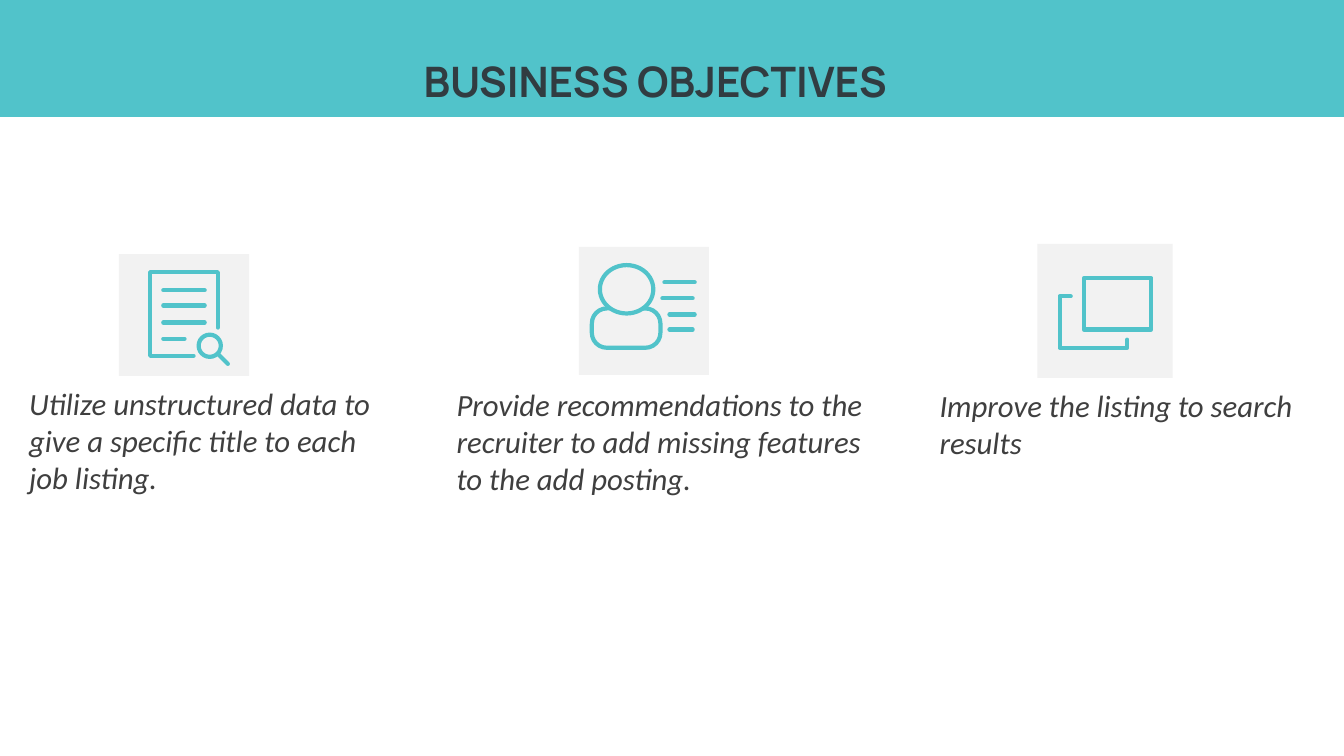
"""Build the Business Objectives slide with three icons and their captions."""
from lxml.etree import SubElement
from pptx import Presentation
from pptx.dml.color import RGBColor
from pptx.enum.shapes import MSO_CONNECTOR, MSO_SHAPE
from pptx.enum.text import MSO_ANCHOR, MSO_AUTO_SIZE, PP_ALIGN
from pptx.oxml.ns import qn
from pptx.util import Inches, Pt

TEAL = RGBColor(0x51, 0xC3, 0xCA)
TILE_GREY = RGBColor(0xF2, 0xF2, 0xF2)
TITLE_GREY = RGBColor(0x31, 0x3C, 0x41)
CAPTION_GREY = RGBColor(0x3F, 0x3F, 0x3F)


def add_box(shapes, kind, position, fill=None, stroked=False):
    left, top, width, height = map(Inches, position)
    shape = shapes.add_shape(kind, left, top, width, height)
    shape.shadow.inherit = False
    if fill is None:
        shape.fill.background()
    else:
        shape.fill.solid()
        shape.fill.fore_color.rgb = fill
    if stroked:
        shape.line.color.rgb = TEAL
        shape.line.width = Pt(3)
    else:
        shape.line.fill.background()
    return shape


def finish_stroke(shape):
    shape.line.color.rgb = TEAL
    shape.line.width = Pt(3)
    line = shape.line._get_or_add_ln()
    line.set("cap", "rnd")
    SubElement(line, qn("a:round"))
    SubElement(line.getparent(), qn("a:effectLst"))


presentation = Presentation()
presentation.slide_width = Inches(13.33)
presentation.slide_height = Inches(7.5)
slide = presentation.slides.add_slide(presentation.slide_layouts[5])

band = add_box(slide.shapes, MSO_SHAPE.RECTANGLE, (0, 0, 13.33, 1.16), TEAL)
title = slide.shapes.title
title.left, title.top = Inches(0.75), Inches(0.61)
title.width, title.height = Inches(11.5), Inches(0.37)
band.element.addnext(title.element)
title_frame = title.text_frame
title_frame.text = "BUSINESS OBJECTIVES"
title_frame.auto_size = MSO_AUTO_SIZE.NONE
title_frame.vertical_anchor = MSO_ANCHOR.TOP
title_frame.margin_left = title_frame.margin_right = 0
title_frame.margin_top = title_frame.margin_bottom = 0
title_paragraph = title_frame.paragraphs[0]
title_paragraph.alignment = PP_ALIGN.CENTER
title_paragraph.line_spacing = 0.9
title_paragraph.space_before = Pt(10)
title_font = title_paragraph.runs[0].font
title_font.name, title_font.size, title_font.bold = "Manrope", Pt(30), True
title_font.color.rgb = TITLE_GREY

for tile in [(1.18, 2.52, 1.29, 1.21), (5.74, 2.45, 1.29, 1.27), (10.29, 2.42, 1.34, 1.33)]:
    add_box(slide.shapes, MSO_SHAPE.RECTANGLE, tile, TILE_GREY)

document, person, screens = [slide.shapes.add_group_shape().shapes for _ in range(3)]

add_box(document, MSO_SHAPE.OVAL, (1.97, 3.32, 0.22, 0.22), stroked=True)
body = add_box(person, MSO_SHAPE.ROUNDED_RECTANGLE, (5.87, 3.06, 0.68, 0.39), stroked=True)
body.adjustments[0] = 0.38
add_box(person, MSO_SHAPE.OVAL, (5.95, 2.63, 0.53, 0.48), TILE_GREY, stroked=True)
add_box(screens, MSO_SHAPE.RECTANGLE, (10.75, 2.76, 0.67, 0.51), stroked=True)

outlines = [
    (document, [(1.92, 3.53), (1.49, 3.53), (1.49, 2.7), (2.16, 2.7), (2.16, 3.25)]),
    (screens, [(10.62, 2.94), (10.51, 2.94), (10.51, 3.45), (11.18, 3.45), (11.18, 3.37)]),
]
for icon, points in outlines:
    start, *corners = [(Inches(x), Inches(y)) for x, y in points]
    builder = icon.build_freeform(*start)
    builder.add_line_segments(corners, close=False)
    outline = builder.convert_to_shape()
    outline.fill.background()
    finish_stroke(outline)

strokes = [
    (document, 1.62, 2.88, 2.03, 2.88),
    (document, 1.62, 3.03, 2.03, 3.03),
    (document, 1.62, 3.2, 2.03, 3.2),
    (document, 1.62, 3.36, 1.83, 3.36),
    (document, 2.16, 3.51, 2.26, 3.61),
    (person, 6.59, 2.8, 6.89, 2.8),
    (person, 6.57, 2.96, 6.87, 2.96),
    (person, 6.64, 3.12, 6.89, 3.12),
    (person, 6.64, 3.27, 6.87, 3.27),
]
for icon, *ends in strokes:
    finish_stroke(icon.add_connector(MSO_CONNECTOR.STRAIGHT, *map(Inches, ends)))

captions = [
    (0.19, 3.77, 3.71, 1.35,
     "Utilize unstructured data to give a specific title to each job listing."),
    (4.43, 3.78, 4.39, 1.35,
     "Provide recommendations to the recruiter to add missing features to the add posting."),
    (9.22, 3.79, 4.1, 0.98, "Improve the listing to search results"),
]
for *position, text in captions:
    caption = slide.shapes.add_textbox(*map(Inches, position))
    caption.text_frame.word_wrap = True
    caption.text_frame.text = text
    font = caption.text_frame.paragraphs[0].runs[0].font
    font.name, font.size, font.italic = "Calibri", Pt(22), True
    font.color.rgb = CAPTION_GREY

presentation.save("out.pptx")
